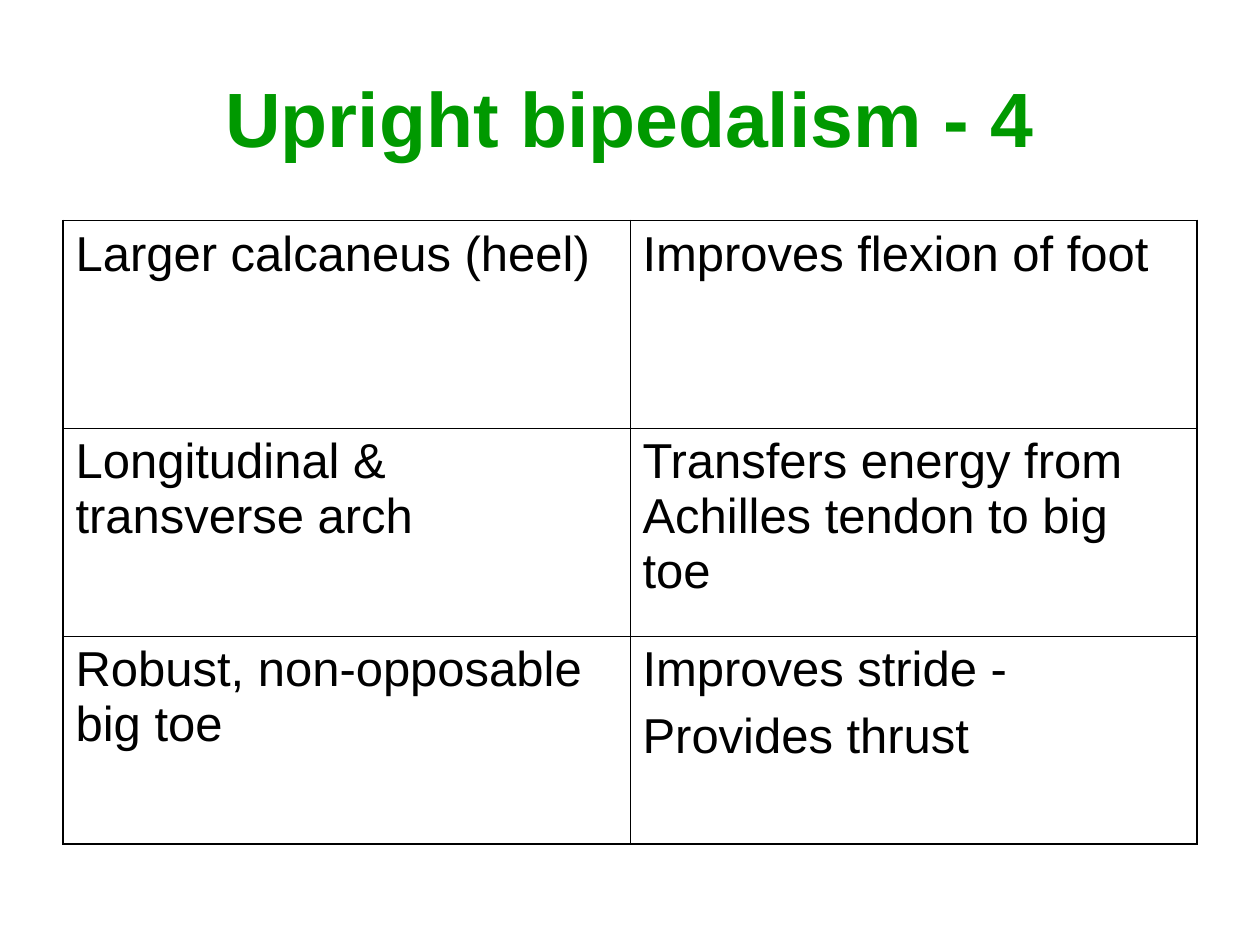
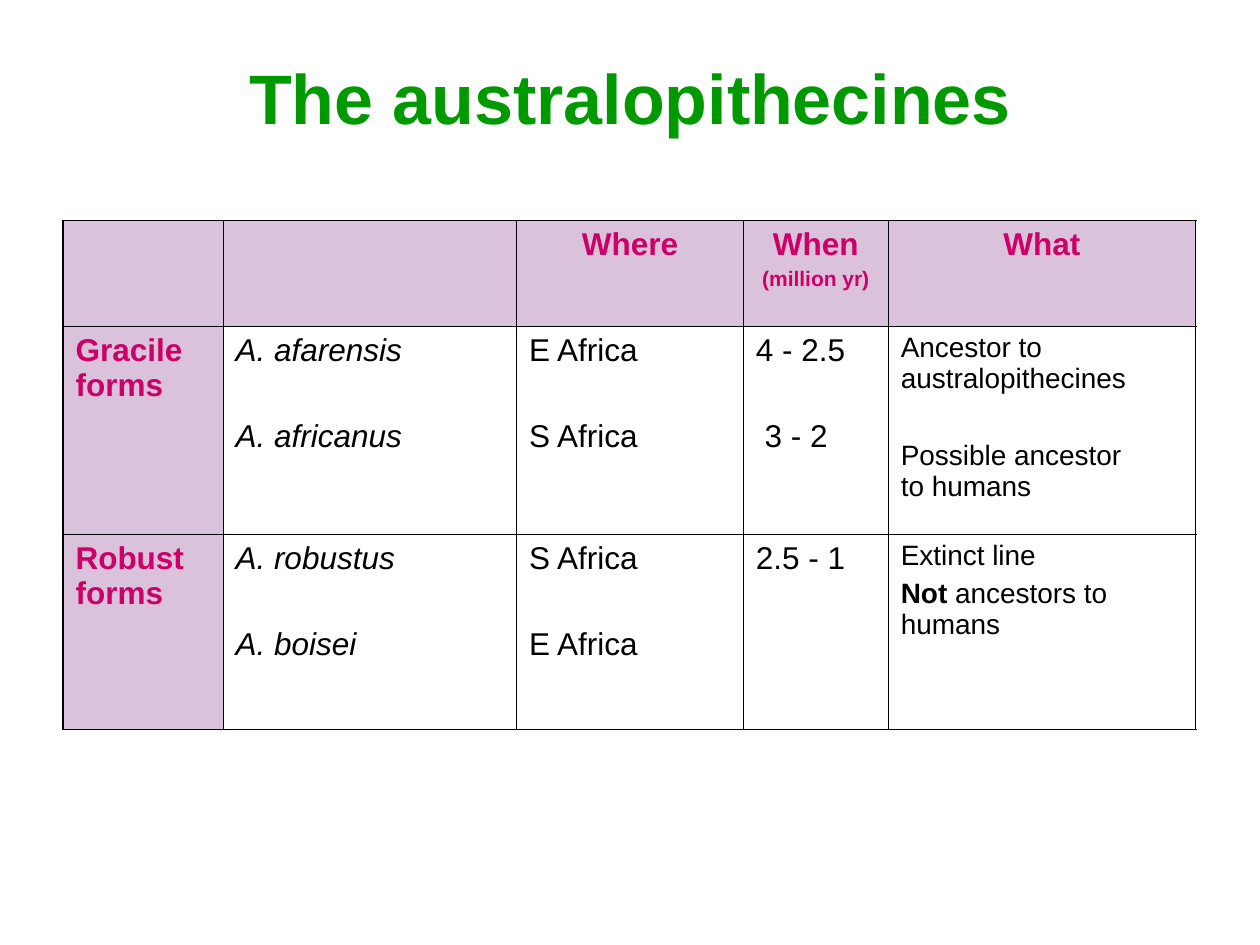
"""Build two slides on human evolution, each with a title and a ruled table."""
import pptx
import pptx.util
import pptx.dml.color
import pptx.enum.text
import pptx.oxml
import pptx.oxml.ns

PX = 9144
FONT = "Arial"
COLORS = {"title": "009900", "text": "000000", "head": "CC0066",
          "head_fill": "DAC2DC", "line": "000000"}
ALIGN = pptx.enum.text.PP_ALIGN


def add_run(p, text, size, color, bold=False, italic=False):
    r = p.add_run()
    r.text = text
    r.font.name = FONT
    r.font.size = pptx.util.Pt(size)
    r.font.bold = bold
    r.font.italic = italic
    r.font.color.rgb = pptx.dml.color.RGBColor.from_string(COLORS[color])


def add_border(cell, side, width):
    ns = pptx.oxml.ns.nsdecls("a")
    cell._tc.get_or_add_tcPr().append(pptx.oxml.parse_xml(
        f'<a:ln{side} {ns} w="{pptx.util.Pt(width)}"><a:solidFill>'
        f'<a:srgbClr val="{COLORS["line"]}"/></a:solidFill></a:ln{side}>'))


# A blank line in a cell widens the gap, \v breaks a line, ** marks bold.
slides = [
    {"title": "Upright bipedalism - 4", "title_size": 44, "title_height": 125,
     "cols": [450, 450], "rows": [165, 165, 165], "sizes": [28, 28],
     "headed": False, "italic_col": None,
     "cells": [
         ["Larger calcaneus (heel)", "Improves flexion of foot"],
         ["Longitudinal & transverse arch",
          "Transfers energy from Achilles tendon to big toe"],
         ["Robust, non-opposable big toe",
          "Improves stride -\nProvides thrust"]]},
    {"title": "The australopithecines", "title_size": 40, "title_height": 93,
     "cols": [127, 233, 180, 115, 244], "rows": [84, 165, 155],
     "sizes": [18, 18, 18, 18, 16], "headed": True, "italic_col": 1,
     "cells": [
         ["", "", "Where", "When\n(million yr)", "What"],
         ["Gracile forms", "A. afarensis\n\nA. africanus",
          "E Africa\n\nS Africa", "4 - 2.5\n\n 3 - 2",
          "Ancestor to australopithecines\n\nPossible ancestor\vto humans"],
         ["Robust forms", "A. robustus\n\nA. boisei",
          "S Africa\n\nE Africa", "2.5 - 1",
          "Extinct line\n**Not** ancestors to humans"]]},
]

prs = pptx.Presentation()
prs.slide_width = 1000 * PX
prs.slide_height = 750 * PX

for data in slides:
    s = prs.slides.add_slide(prs.slide_layouts[5])
    sp = s.shapes.title
    sp.left, sp.top = 50 * PX, 30 * PX
    sp.width, sp.height = 900 * PX, data["title_height"] * PX
    tf = sp.text_frame
    tf.word_wrap = True
    tf.auto_size = pptx.enum.text.MSO_AUTO_SIZE.NONE
    tf.vertical_anchor = pptx.enum.text.MSO_ANCHOR.MIDDLE
    tf.paragraphs[0].alignment = ALIGN.CENTER
    add_run(tf.paragraphs[0], data["title"], data["title_size"], "title", True)

    cols, rows = data["cols"], data["rows"]
    table = s.shapes.add_table(len(rows), len(cols), 50 * PX, 175 * PX,
                               sum(cols) * PX, sum(rows) * PX).table
    table.first_row = table.horz_banding = False
    for col, width in zip(table.columns, cols):
        col.width = width * PX
    for row, height in zip(table.rows, rows):
        row.height = height * PX

    for i, texts in enumerate(data["cells"]):
        for j, text in enumerate(texts):
            cell = table.cell(i, j)
            outer = {"L": j == 0, "R": j == len(cols) - 1,
                     "T": i == 0, "B": i == len(rows) - 1}
            for side, is_outer in outer.items():
                add_border(cell, side, 1.08 if is_outer else 0.45)

            top_row = data["headed"] and i == 0
            head = top_row or (data["headed"] and j == 0)
            if head:
                cell.fill.solid()
                cell.fill.fore_color.rgb = pptx.dml.color.RGBColor.from_string(
                    COLORS["head_fill"])
            else:
                cell.fill.background()

            tf = cell.text_frame
            p, gap = None, False
            for line in text.split("\n"):
                if not line:
                    gap = True
                    continue
                size = 18 if top_row else data["sizes"][j]
                if line.startswith("("):
                    size = 12
                if p is None:
                    p = tf.paragraphs[0]
                else:
                    p = tf.add_paragraph()
                    p.space_before = pptx.util.Pt(
                        round(size * 1.62) if gap else size / 4)
                p.alignment = ALIGN.CENTER if top_row else ALIGN.LEFT
                gap = False
                for k, part in enumerate(line.split("\v")):
                    if k:
                        p.add_line_break()
                    for n, piece in enumerate(part.split("**")):
                        if piece:
                            add_run(p, piece, size, "head" if head else "text",
                                    head or n % 2 == 1,
                                    not head and j == data["italic_col"])

prs.save("out.pptx")
